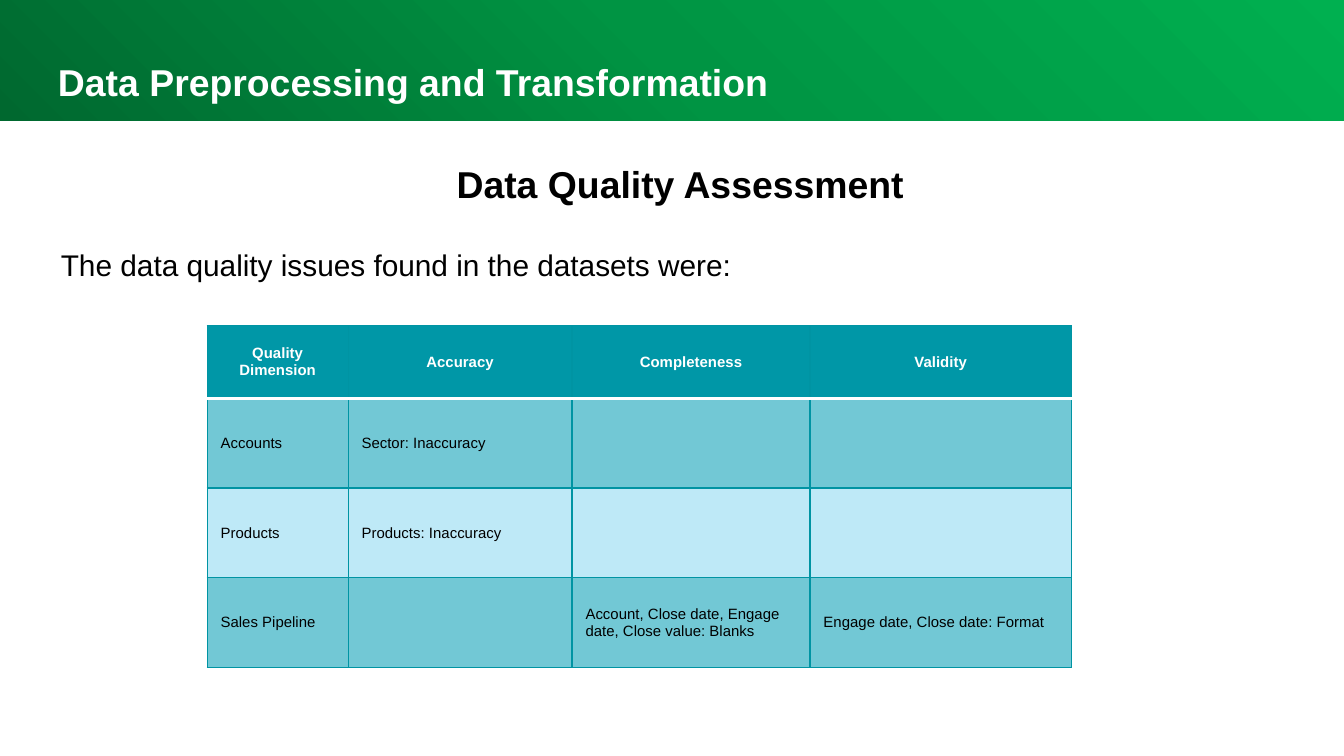
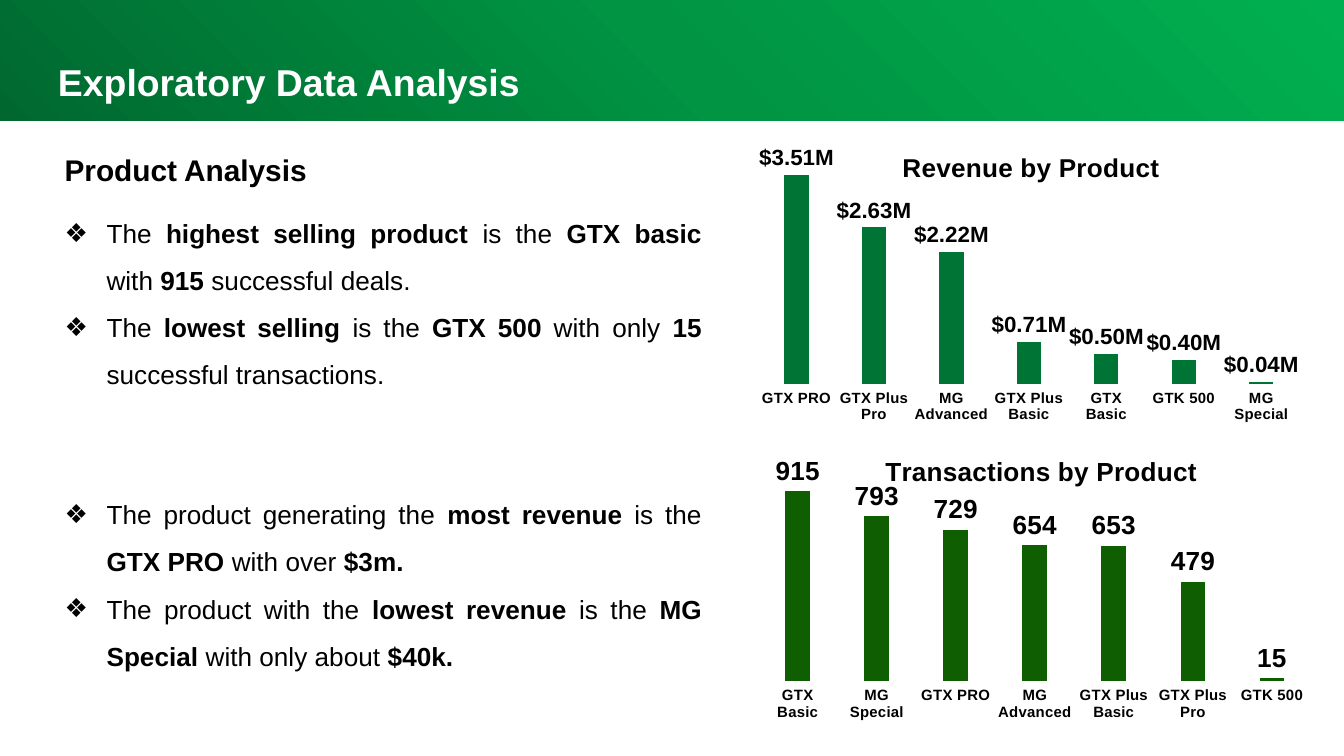
from dataclasses import dataclass

from lxml.etree import SubElement
from pptx import Presentation
from pptx.chart.data import CategoryChartData
from pptx.dml.color import RGBColor
from pptx.enum.chart import XL_CHART_TYPE, XL_LABEL_POSITION, XL_TICK_MARK
from pptx.enum.shapes import MSO_SHAPE
from pptx.enum.text import MSO_ANCHOR, MSO_AUTO_SIZE, PP_ALIGN
from pptx.oxml import parse_xml
from pptx.oxml.ns import nsdecls, qn
from pptx.util import Pt


@dataclass(frozen=True)
class Theme:
    font: str = "Arial"
    text: str = "000000"
    light: str = "FFFFFF"
    band: tuple = ("00682F", "009443", "00B050")
    table_header: str = "0097A7"
    table_rows: tuple = ("72C8D5", "BEE9F7")
    table_line: str = "0094A3"
    revenue: str = "007434"
    transactions: str = "0F5E02"
    title_size: float = 20
    heading_size: float = 16
    body_size: float = 14
    chart_size: float = 10
    small_size: float = 8


THEME = Theme()
SLIDE_SIZE = (720, 405)
BAND_BOX = (-1.5, -1.5, 723, 66)
TITLE_BOX = (16, 21, 675, 40)

QUALITY = {
    "title": "Data Preprocessing and Transformation",
    "heading": "Data Quality Assessment",
    "intro": "The data quality issues found in the datasets were:",
    "columns": (75.5, 120, 127.5, 140),
    "row_heights": (39, 48, 48, 48),
    "rows": [
        ("Quality Dimension", "Accuracy", "Completeness", "Validity"),
        ("Accounts", "Sector: Inaccuracy", "", ""),
        ("Products", "Products: Inaccuracy", "", ""),
        ("Sales Pipeline", "", "Account, Close date, Engage date, Close value: Blanks",
         "Engage date, Close date: Format"),
    ],
}

# Text between ** marks is bold; the number is the space before in points.
ANALYSIS = {
    "title": "Exploratory Data Analysis",
    "heading": "Product Analysis",
    "findings": [
        ("The **highest selling product** is the **GTX basic** with **915** successful deals.", 0),
        ("The **lowest selling** is the **GTX 500** with only **15** successful transactions.", 0),
        ("The product generating the **most revenue** is the **GTX PRO** with over **$3m.**", 50),
        ("The product with the **lowest revenue** is the **MG Special** with only about **$40k.**", 0),
    ],
}

CHARTS = [
    {
        "title": "Revenue by Product", "title_at": (0.27, 0.05),
        "box": (400, 70.5, 299.5, 156), "plot": (0.02, 0.05, 0.97, 0.83),
        "color": THEME.revenue, "maximum": 4000000,
        "format": '"$"0.00,,"M"', "label_size": 12,
        "values": {"GTX PRO": 3510000, "GTX Plus Pro": 2630000, "MG Advanced": 2220000,
                   "GTX Plus Basic": 710000, "GTX Basic": 500000, "GTK 500": 400000,
                   "MG Special": 40000},
    },
    {
        "title": "Transactions by Product", "title_at": (0.23, 0.05),
        "box": (400, 233, 312, 159), "plot": (0.02, 0.13, 0.95, 0.7),
        "color": THEME.transactions, "maximum": 1000,
        "format": "General", "label_size": 14,
        "values": {"GTX Basic": 915, "MG Special": 793, "GTX PRO": 729, "MG Advanced": 654,
                   "GTX Plus Basic": 653, "GTX Plus Pro": 479, "GTK 500": 15},
    },
]


def points(values):
    return [Pt(value) for value in values]


def style_font(font, size, color=THEME.text, bold=False):
    font.name = THEME.font
    font.size = Pt(size)
    font.bold = bold
    font.color.rgb = RGBColor.from_string(color)


def add_run(paragraph, text, size, color=THEME.text, bold=False):
    run = paragraph.add_run()
    run.text = text
    style_font(run.font, size, color, bold)


def add_text_frame(slide, box, inset, grow=False):
    frame = slide.shapes.add_textbox(*points(box)).text_frame
    frame.word_wrap = True
    frame.auto_size = MSO_AUTO_SIZE.SHAPE_TO_FIT_TEXT if grow else MSO_AUTO_SIZE.NONE
    frame.margin_left = frame.margin_right = Pt(inset)
    frame.margin_top = frame.margin_bottom = Pt(inset)
    return frame


def add_line(slide, box, text, size, bold=False, alignment=None, grow=False):
    paragraph = add_text_frame(slide, box, 3.6, grow).paragraphs[0]
    paragraph.alignment = alignment
    add_run(paragraph, text, size, bold=bold)


def set_indent(paragraph, left, first):
    properties = paragraph._p.get_or_add_pPr()
    properties.set("marL", str(Pt(left)))
    properties.set("indent", str(Pt(first)))
    return properties


def add_titled_slide(presentation, title):
    """Add a blank slide with the green gradient band and its white title."""
    slide = presentation.slides.add_slide(presentation.slide_layouts[6])
    band = slide.shapes.add_shape(MSO_SHAPE.RECTANGLE, *points(BAND_BOX))
    band.shadow.inherit = False
    band.line.fill.background()
    band.fill.background()
    stops = "".join(
        f'<a:gs pos="{index * 50000}"><a:srgbClr val="{color}"/></a:gs>'
        for index, color in enumerate(THEME.band))
    gradient = parse_xml(
        f'<a:gradFill {nsdecls("a")} rotWithShape="1"><a:gsLst>{stops}</a:gsLst>'
        '<a:path path="circle"><a:fillToRect t="100000" r="100000"/></a:path></a:gradFill>')
    properties = band._element.spPr
    properties.replace(properties.find(qn("a:noFill")), gradient)

    paragraph = add_text_frame(slide, TITLE_BOX, 7.2, grow=True).paragraphs[0]
    set_indent(paragraph, 8, 0)
    paragraph.line_spacing = 1.15
    add_run(paragraph, title, THEME.title_size, THEME.light, bold=True)
    return slide


def set_borders(cell, row_index):
    properties = cell._tc.get_or_add_tcPr()
    for side in ("L", "R", "T", "B"):
        under_header = (row_index, side) in ((0, "B"), (1, "T"))
        color, width = (THEME.light, 2) if under_header else (THEME.table_line, 0.75)
        line = SubElement(properties, qn(f"a:ln{side}"), w=str(Pt(width)))
        fill = SubElement(line, qn("a:solidFill"))
        SubElement(fill, qn("a:srgbClr"), val=color)


def add_quality_table(slide):
    columns, heights, rows = QUALITY["columns"], QUALITY["row_heights"], QUALITY["rows"]
    box = (111, 174.5, sum(columns), sum(heights))
    table = slide.shapes.add_table(len(rows), len(columns), *points(box)).table
    table.horz_banding = False
    table.first_row = False
    for column, width in zip(table.columns, columns):
        column.width = Pt(width)
    for row_index, (row, height, texts) in enumerate(zip(table.rows, heights, rows)):
        row.height = Pt(height)
        header = row_index == 0
        fill = THEME.table_header if header else THEME.table_rows[(row_index - 1) % 2]
        for cell, text in zip(row.cells, texts):
            set_borders(cell, row_index)
            cell.fill.solid()
            cell.fill.fore_color.rgb = RGBColor.from_string(fill)
            cell.vertical_anchor = MSO_ANCHOR.MIDDLE
            paragraph = cell.text_frame.paragraphs[0]
            if header:
                paragraph.alignment = PP_ALIGN.CENTER
            if text:
                color = THEME.light if header else THEME.text
                add_run(paragraph, text, THEME.small_size, color, header)


def add_findings(slide):
    frame = add_text_frame(slide, (31, 104.5, 348.5, 288), 3.6)
    for index, (text, space_before) in enumerate(ANALYSIS["findings"]):
        paragraph = frame.add_paragraph() if index else frame.paragraphs[0]
        properties = set_indent(paragraph, 22.5, -22.5)
        SubElement(properties, qn("a:buFont"), typeface=THEME.font)
        SubElement(properties, qn("a:buChar"), char="❖")
        paragraph.alignment = PP_ALIGN.JUSTIFY
        paragraph.line_spacing = 1.5
        if space_before:
            paragraph.space_before = Pt(space_before)
        for part_index, part in enumerate(text.split("**")):
            if part:
                add_run(paragraph, part, THEME.body_size, bold=part_index % 2 == 1)


def set_layout(element, position, inner=False):
    """Place a chart title or plot area by fractions of the chart."""
    target = '<c:layoutTarget val="inner"/>' if inner else ""
    modes = "".join(f'<c:{axis}Mode val="edge"/>' for axis in "xy")
    sizes = "".join(f'<c:{name} val="{value}"/>' for name, value in zip("xywh", position))
    layout = parse_xml(
        f'<c:layout {nsdecls("c")}><c:manualLayout>{target}{modes}{sizes}'
        '</c:manualLayout></c:layout>')
    for existing in element.findall(qn("c:layout")):
        element.remove(existing)
    text = element.find(qn("c:tx"))
    element.insert(0 if text is None else 1, layout)


def add_column_chart(slide, content):
    data = CategoryChartData()
    data.categories = list(content["values"])
    data.add_series("Series 1", list(content["values"].values()))
    chart = slide.shapes.add_chart(
        XL_CHART_TYPE.COLUMN_CLUSTERED, *points(content["box"]), data).chart
    style_font(chart.font, THEME.chart_size)
    chart.has_legend = False

    title = chart.chart_title
    add_run(title.text_frame.paragraphs[0], content["title"], THEME.body_size, bold=True)
    title.include_in_layout = False
    set_layout(title._element, content["title_at"])
    set_layout(chart._chartSpace.chart.plotArea, content["plot"], inner=True)

    category_axis = chart.category_axis
    category_axis.major_tick_mark = XL_TICK_MARK.NONE
    category_axis.format.line.fill.background()
    style_font(category_axis.tick_labels.font, THEME.small_size, bold=True)
    # A fixed zero rotation makes long labels wrap instead of tilting.
    label_body = category_axis._element.find(qn("c:txPr")).find(qn("a:bodyPr"))
    label_body.set("rot", "0")
    label_body.set("vert", "horz")
    value_axis = chart.value_axis
    value_axis.minimum_scale = 0
    value_axis.maximum_scale = content["maximum"]
    value_axis.has_major_gridlines = False
    value_axis.visible = False

    plot = chart.plots[0]
    plot.vary_by_categories = False
    plot.gap_width = 219
    plot.overlap = -27
    series = plot.series[0]
    series.format.fill.solid()
    series.format.fill.fore_color.rgb = RGBColor.from_string(content["color"])
    labels = series.data_labels
    labels.show_value = True
    labels.position = XL_LABEL_POSITION.OUTSIDE_END
    labels.number_format = content["format"]
    labels.number_format_is_linked = False
    style_font(labels.font, content["label_size"], bold=True)


def main():
    presentation = Presentation()
    presentation.slide_width, presentation.slide_height = points(SLIDE_SIZE)

    slide = add_titled_slide(presentation, QUALITY["title"])
    add_line(slide, (29, 128.5, 671, 37), QUALITY["intro"], THEME.heading_size)
    add_line(slide, (29, 83, 671, 37), QUALITY["heading"], THEME.title_size,
             bold=True, alignment=PP_ALIGN.CENTER)
    add_quality_table(slide)

    slide = add_titled_slide(presentation, ANALYSIS["title"])
    add_line(slide, (31, 77.5, 240, 27), ANALYSIS["heading"], THEME.heading_size,
             bold=True, grow=True)
    add_findings(slide)
    for content in CHARTS:
        add_column_chart(slide, content)

    presentation.save("out.pptx")


if __name__ == "__main__":
    main()
